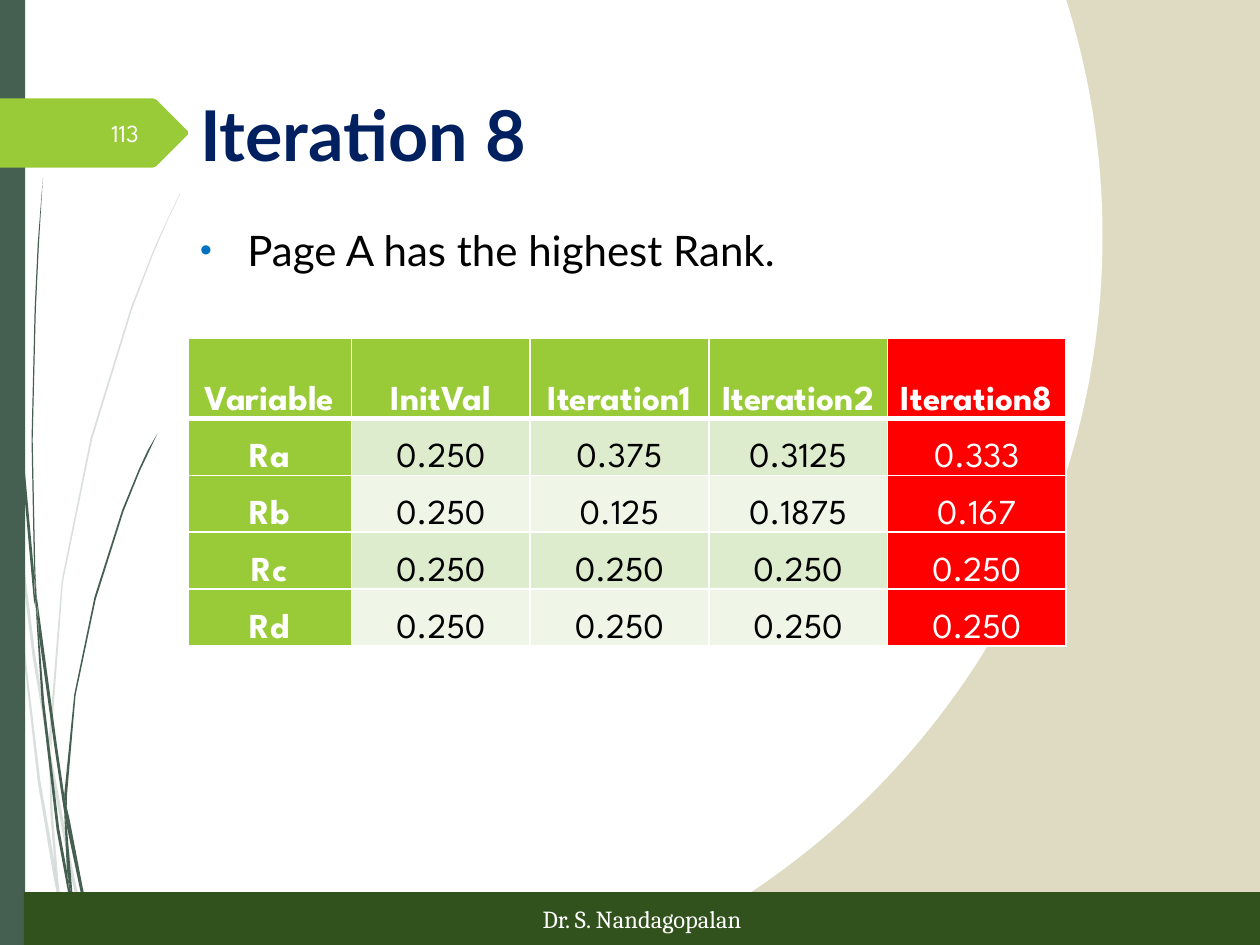
"""Builds the slide on the eighth page rank iteration."""
from lxml import etree
from pptx import Presentation
from pptx.dml.color import RGBColor as Rgb
from pptx.enum.shapes import MSO_SHAPE as Shape
from pptx.enum.text import MSO_ANCHOR as Anchor, PP_ALIGN as Align
from pptx.oxml import parse_xml
from pptx.oxml.ns import nsdecls, qn
from pptx.util import Pt

INK = {"white": "FFFFFF", "black": "000000", "navy": "002060", "blue": "0070C0",
       "slate": "455F51", "lime": "99CB38", "forest": "31521C", "sand": "DFDBC2",
       "red": "FF0000", "mint": "DEECCE", "pale": "EFF6E8"}

RANKS = [
    ("Variable", "InitVal", "Iteration1", "Iteration2", "Iteration8"),
    ("Ra", "0.250", "0.375", "0.3125", "0.333"),
    ("Rb", "0.250", "0.125", "0.1875", "0.167"),
    ("Rc", "0.250", "0.250", "0.250", "0.250"),
    ("Rd", "0.250", "0.250", "0.250", "0.250"),
]
WIDTHS = [93.6] + [102.1] * 4
HEIGHTS = [46.1] + [32.5] * 4

FAINT = [
    [(18.7, 375.8), (28.1, 431.3), (28.1, 421.9), (20.2, 374.4), (4.3, 248.4), (5.8, 270.7)],
    [(30.2, 437), (28.8, 429.1), (28.8, 439.2), (40.3, 499.7), (49.7, 540), (51.1, 540),
     (41.8, 498.2)],
    [(31, 491.8), (23, 445.7), (10.1, 337.7), (5.8, 270.7), (3.6, 252), (9.4, 338.4),
     (21.6, 447.1), (30.2, 499), (33.1, 514.1), (32.4, 509)],
    [(28.1, 431.3), (28.8, 465.1), (31, 491.8), (31.7, 498.2), (34.6, 511.9), (33.8, 508.3),
     (30.2, 465.1), (28.8, 439.2), (28.8, 437.8)],
    [(29.5, 420.5), (36, 332.6), (52.6, 251.3), (75.6, 176.4), (88.6, 142.6), (95.8, 126),
     (103, 110.9), (103, 110.2), (95.4, 126), (88.2, 141.8), (74.9, 175.7), (51.8, 250.6),
     (35.3, 331.9), (28.1, 420.5), (28.1, 421.9), (29.5, 429.1)],
    [(28.8, 437.8), (28.8, 429.1), (28.1, 421.9), (28.1, 431.3)],
    [(31.7, 498.2), (31, 491.8), (32.4, 509), (33.1, 514.1), (38.9, 540), (39.6, 540),
     (34.6, 511.9)],
]
DARK = [
    [(2.9, 79.2), (6.5, 167.8), (11.5, 255.6), (19.4, 343.4), (20.2, 346.3), (19.4, 329),
     (19.4, 326.2), (13, 255.6), (7.2, 167), (3.2, 78.5), (2.2, 34.6), (1.4, 0)],
    [(31, 426.2), (36.7, 464.4), (36.7, 454.3), (32.4, 424.8), (20.9, 339.8), (22.3, 363.6)],
    [(39.6, 467.3), (38.2, 461.5), (38.2, 472.3), (46.1, 509.8), (52.6, 539.3), (54.7, 539.3),
     (47.5, 508.3)],
    [(38.2, 497.5), (33.8, 473), (25.2, 400.3), (22.3, 363.6), (20.2, 343.4), (23.8, 401),
     (32.4, 474.5), (38.9, 509.8), (41, 519.8), (40.3, 516.2)],
    [(20.9, 339.8), (20.2, 326.2), (18.7, 251.3), (20.5, 176.4), (22.3, 139), (24.5, 101.5),
     (21.6, 139), (19.8, 176.4), (18, 251.3), (19.4, 323.3)],
    [(20.2, 343.4), (22.3, 363.6), (20.9, 339.8), (19.4, 323.3), (19.4, 326.2)],
    [(38.2, 455.8), (43.2, 397.4), (54.7, 342.7), (70.6, 292.3), (79.9, 269.3), (85, 258.5),
     (90, 247.7), (84.2, 257.8), (79.2, 268.6), (69.8, 291.6), (54, 341.3), (42.5, 396.7),
     (36.7, 454.3), (38.2, 461.5)],
    [(36.7, 464.4), (38.2, 497.5), (40.3, 508.3), (42.5, 517.7), (41.8, 515.5), (38.2, 472.3),
     (37.4, 468.7)],
    [(36.7, 464.4), (37.4, 468.7), (38.2, 472.3), (38.2, 461.5), (36.7, 454.3)],
    [(40.3, 508.3), (38.2, 497.5), (40.3, 516.2), (41, 519.8), (45.4, 539.3), (46.1, 539.3),
     (42.5, 517.7)],
]
TAG = [(0, 56.2), (87.1, 56.2), (89.3, 56.9), (107.3, 74.9), (107.3, 77), (89.3, 95),
       (87.1, 95.8), (0, 95.8)]


def write(frame, text, font="League Spartan", size=20, ink="white", bold=False,
          align=Align.LEFT, space=None, dot=None):
    para = frame.paragraphs[0]
    if dot:
        props = para._p.get_or_add_pPr()
        props.set("marL", str(Pt(27)))
        props.set("indent", str(-Pt(27)))
        tint = etree.SubElement(props, qn("a:buClr"))
        etree.SubElement(tint, qn("a:srgbClr"), val=INK[dot])
        etree.SubElement(props, qn("a:buSzPct"), val="80000")
        etree.SubElement(props, qn("a:buFont"), typeface="Arial")
        etree.SubElement(props, qn("a:buChar"), char="•")
    run = para.add_run()
    run.text = text
    run.font.name, run.font.size, run.font.bold = font, Pt(size), bold
    run.font.color.rgb = Rgb.from_string(INK[ink])
    para.alignment = align
    if space:
        para.line_spacing = space


def paint(shape, ink, alpha=None):
    shape.shadow.inherit = False
    shape.line.fill.background()
    shape.fill.solid()
    shape.fill.fore_color.rgb = Rgb.from_string(INK[ink])
    if alpha:
        tint = shape._element.spPr.find(".//" + qn("a:srgbClr"))
        etree.SubElement(tint, qn("a:alpha"), val=str(alpha * 1000))


def trace(slide, points, ink, alpha=None):
    first, *rest = [(Pt(x), Pt(y)) for x, y in points]
    path = slide.shapes.build_freeform(*first)
    path.add_line_segments(rest, close=True)
    paint(path.convert_to_shape(), ink, alpha)


def bar(slide, place, ink):
    shape = slide.shapes.add_shape(Shape.RECTANGLE, *map(Pt, place))
    paint(shape, ink)
    return shape.text_frame


def box(slide, place, anchor=Anchor.TOP):
    frame = slide.shapes.add_textbox(*map(Pt, place)).text_frame
    frame.word_wrap, frame.vertical_anchor = True, anchor
    return frame


def backdrop(slide):
    stops = "".join(f'<a:gs pos="100000"><a:srgbClr val="{INK[ink]}"/></a:gs>'
                    for ink in ("white", "sand"))
    slide.background.fill.solid()
    props = slide._element.cSld.find(qn("p:bg")).find(qn("p:bgPr"))
    props.replace(props[0], parse_xml(
        f'<a:gradFill {nsdecls("a")} rotWithShape="1"><a:gsLst>{stops}</a:gsLst>'
        '<a:path path="circle"><a:fillToRect l="50000" t="50000" r="100000" b="100000"/>'
        '</a:path></a:gradFill>'))


def edge(cell, low):
    props = cell._tc.get_or_add_tcPr()
    for side, wide in zip("LRTB", (1, 1, 1, low)):
        line = etree.SubElement(props, qn("a:ln" + side), w=str(Pt(wide)))
        fill = etree.SubElement(line, qn("a:solidFill"))
        etree.SubElement(fill, qn("a:srgbClr"), val=INK["white"])


def grid(slide):
    place = (107.3, 193, sum(WIDTHS), sum(HEIGHTS))
    table = slide.shapes.add_table(len(RANKS), len(WIDTHS), *map(Pt, place)).table
    for col, wide in zip(table.columns, WIDTHS):
        col.width = Pt(wide)
    for r, (row, high) in enumerate(zip(RANKS, HEIGHTS)):
        table.rows[r].height = Pt(high)
        for c, text in enumerate(row):
            cell = table.cell(r, c)
            head, last = r == 0 or c == 0, c == len(row) - 1
            edge(cell, 3 if r == 0 else 1)
            fill = "red" if last else "lime" if head else "mint" if r % 2 else "pale"
            cell.fill.solid()
            cell.fill.fore_color.rgb = Rgb.from_string(INK[fill])
            cell.vertical_anchor = Anchor.BOTTOM
            cell.margin_left = cell.margin_right = Pt(5.4)
            cell.margin_top = cell.margin_bottom = 0
            write(cell.text_frame, text, bold=head, align=Align.CENTER, space=1.15,
                  ink="white" if head or last else "black")


def main():
    deck = Presentation()
    deck.slide_width, deck.slide_height = Pt(720), Pt(540)
    slide = deck.slides.add_slide(deck.slide_layouts[6])
    backdrop(slide)
    for blade in FAINT:
        trace(slide, blade, "slate", 20)
    for blade in DARK:
        trace(slide, blade, "slate")
    bar(slide, (0, 0, 14.4, 540), "slate")
    trace(slide, TAG, "lime")
    foot = bar(slide, (13.7, 509.8, 706.3, 30.2), "forest")
    foot.vertical_anchor = Anchor.MIDDLE
    write(foot, "Dr. S. Nandagopalan", font="Cambria", size=14, align=Align.CENTER)
    write(box(slide, (107.3, 49, 564.5, 69.8)), "Iteration 8", font="Lato", size=40,
          ink="navy", bold=True)
    write(box(slide, (107.3, 124.6, 565.2, 370.1)), "Page A has the highest Rank.",
          font="Lato", size=24, ink="black", dot="blue")
    write(box(slide, (33.8, 61.9, 52.6, 28.1), Anchor.MIDDLE), "113", size=14,
          align=Align.RIGHT)
    grid(slide)
    deck.save("out.pptx")


if __name__ == "__main__":
    main()
